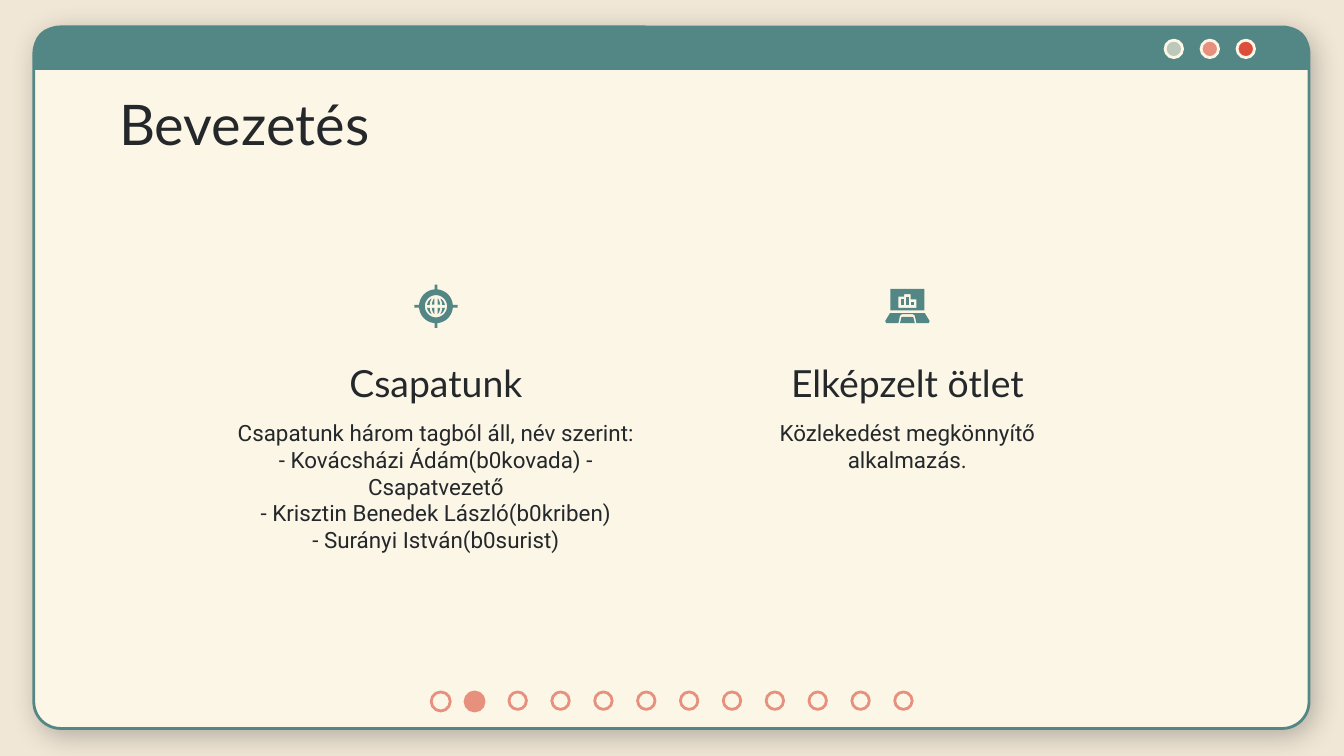
import math
from dataclasses import dataclass

import pptx
from lxml import etree
from pptx.dml.color import RGBColor
from pptx.enum.shapes import MSO_SHAPE
from pptx.enum.text import MSO_ANCHOR, MSO_AUTO_SIZE, PP_ALIGN
from pptx.oxml.ns import qn
from pptx.util import Cm, Pt


@dataclass(frozen=True)
class Theme:
    backdrop: str = "F1E7D6"
    paper: str = "FCF6E7"
    teal: str = "538786"
    sage: str = "BBC8BA"
    coral: str = "E6907D"
    red: str = "DD4F3D"
    ink: str = "24282A"
    heading_font: str = "Lato"
    body_font: str = "Roboto"
    title_size: float = 30
    heading_size: float = 20
    body_size: float = 12
    outline: float = 1.5


THEME = Theme()


def paint(shape, fill, line=None):
    shape.shadow.inherit = False
    shape.fill.solid()
    shape.fill.fore_color.rgb = RGBColor.from_string(fill)
    if line:
        shape.line.color.rgb = RGBColor.from_string(line)
        shape.line.width = Pt(THEME.outline)
    else:
        shape.line.fill.background()


def add_preset(slide, kind, left, top, width, height, fill, line=None):
    shape = slide.shapes.add_shape(kind, Cm(left), Cm(top), Cm(width), Cm(height))
    paint(shape, fill, line)
    return shape


def add_dot(slide, left, top, size, fill, line):
    add_preset(slide, MSO_SHAPE.OVAL, left, top, size, size, fill, line)


def add_soft_shadow(shape):
    effects = shape._element.spPr.find(qn("a:effectLst"))
    shadow = etree.SubElement(effects, qn("a:outerShdw"), blurRad=str(Pt(14.6)),
                              dist=str(Pt(3.8)), dir=str(50 * 60000),
                              algn="bl", rotWithShape="0")
    color = etree.SubElement(shadow, qn("a:srgbClr"), val=THEME.ink)
    etree.SubElement(color, qn("a:alpha"), val="30000")


def write_text(shape, lines, font, size, alignment, anchor=MSO_ANCHOR.TOP):
    frame = shape.text_frame
    frame.word_wrap = True
    frame.auto_size = MSO_AUTO_SIZE.NONE
    frame.vertical_anchor = anchor
    frame.margin_left = frame.margin_right = Cm(0.25)
    frame.margin_top = frame.margin_bottom = Cm(0.25)
    frame.text = "\n".join(lines)
    for paragraph in frame.paragraphs:
        paragraph.alignment = alignment
        paragraph.font.name = font
        paragraph.font.size = Pt(size)
        paragraph.font.color.rgb = RGBColor.from_string(THEME.ink)


def add_text(slide, left, top, width, height, lines, font, size, anchor=MSO_ANCHOR.TOP):
    box = slide.shapes.add_textbox(Cm(left), Cm(top), Cm(width), Cm(height))
    write_text(box, lines, font, size, PP_ALIGN.CENTER, anchor)


def add_icon(slide, center_x, center_y, parts):
    """Each part is a list of outlines, in cm from the centre; later outlines are holes."""
    icon = slide.shapes.add_group_shape()
    for outlines in parts:
        builder = None
        for outline in outlines:
            points = [(Cm(center_x + x), Cm(center_y + y)) for x, y in outline]
            if builder is None:
                builder = icon.shapes.build_freeform(*points[0], scale=1.0)
            else:
                builder.move_to(*points[0])
            builder.add_line_segments(points[1:], close=True)
        paint(builder.convert_to_shape(), THEME.teal)


def arc(radius_x, radius_y, start, end, steps=12):
    angles = [math.radians(start + (end - start) * i / steps) for i in range(steps + 1)]
    return [(radius_x * math.cos(a), radius_y * math.sin(a)) for a in angles]


def mirror(points):
    """Completes a right-hand outline with its left-hand reflection."""
    return points + [(-x, y) for x, y in reversed(points)]


def rectangle(left, top, right, bottom):
    return [(left, top), (right, top), (right, bottom), (left, bottom)]


def globe_parts():
    crosshair = []
    for turn in range(0, 360, 90):
        crosshair += arc(0.32, 0.32, turn + 4.5, turn + 85.5)
        crosshair += arc(0.41, 0.41, turn + 86.5, turn + 93.5, 4)
    parts = [[crosshair, arc(0.21, 0.21, 0, 360, 48)]]
    inner = [(0.03, 0.03)] + arc(0.08, 0.16, 10, 68) + [(0.03, 0.15)]
    outer = arc(0.17, 0.17, 9, 60) + arc(0.12, 0.2, 46, 8)
    for cell in (inner, outer):
        for sign_x in (1, -1):
            for sign_y in (1, -1):
                parts.append([[(sign_x * x, sign_y * y) for x, y in cell]])
    return parts


def laptop_parts():
    chart_window = [(-0.17, 0.03), (-0.17, -0.18), (-0.06, -0.18), (-0.06, -0.23),
                    (0.06, -0.23), (0.06, -0.13), (0.17, -0.13), (0.17, 0.03)]
    base = mirror([(0.33, 0.13), (0.42, 0.28), (0.4, 0.32),
                   (0.17, 0.32), (0.14, 0.18), (0.11, 0.15)])
    trackpad = mirror([(0.11, 0.2), (0.14, 0.32)])
    bars = [rectangle(-0.12, -0.13, -0.07, -0.03),
            rectangle(-0.03, -0.18, 0.03, -0.03),
            rectangle(0.07, -0.08, 0.12, -0.03)]
    screen = rectangle(-0.32, -0.33, 0.32, 0.08)
    return [[screen, chart_window], [base], [trackpad]] + [[bar] for bar in bars]


def add_window(slide):
    window = add_preset(slide, MSO_SHAPE.ROUNDED_RECTANGLE, 0.64, 0.51, 24.1, 13.26,
                        THEME.paper, THEME.teal)
    window.adjustments[0] = 0.038
    add_soft_shadow(window)
    bar = add_preset(slide, MSO_SHAPE.ROUND_2_SAME_RECTANGLE, 0.64, 0.51, 24.1, 0.81,
                     THEME.teal)
    bar.adjustments[0] = 0.5
    for index, color in enumerate((THEME.sage, THEME.coral, THEME.red)):
        add_dot(slide, 22.02 + 0.68 * index, 0.76, 0.33, color, THEME.paper)


def add_title(slide, text):
    title = slide.shapes.title
    title.left, title.top, title.width, title.height = Cm(2), Cm(1.45), Cm(21.4), Cm(1.6)
    write_text(title, [text], THEME.heading_font, THEME.title_size, PP_ALIGN.LEFT)
    slide.shapes._spTree.append(title._element)  # bring in front of the window


def add_column(slide, center, body_width, body_height, heading, lines, icon_parts):
    add_text(slide, center - 3.48, 6.63, 6.96, 1.27, [heading],
             THEME.heading_font, THEME.heading_size, MSO_ANCHOR.BOTTOM)
    add_text(slide, center - body_width / 2, 7.67, body_width, body_height, lines,
             THEME.body_font, THEME.body_size)
    add_icon(slide, center, 5.79, icon_parts)


def add_progress_dots(slide):
    add_dot(slide, 8.15, 13.08, 0.36, THEME.paper, THEME.coral)
    add_dot(slide, 8.79, 13.08, 0.36, THEME.coral, THEME.coral)
    for index in range(10):
        add_dot(slide, 9.62 + 0.81 * index, 13.08, 0.33, THEME.paper, THEME.coral)


def main():
    presentation = pptx.Presentation()
    presentation.slide_width, presentation.slide_height = Cm(25.4), Cm(14.29)
    slide = presentation.slides.add_slide(presentation.slide_layouts.get_by_name("Title Only"))
    slide.background.fill.solid()
    slide.background.fill.fore_color.rgb = RGBColor.from_string(THEME.backdrop)

    # Browser-like window and title
    add_window(slide)
    add_title(slide, "Bevezetés")

    # Two content columns
    add_column(slide, 8.24, 8.86, 3.12, "Csapatunk",
               ["Csapatunk három tagból áll, név szerint:",
                "- Kovácsházi Ádám(b0kovada) - Csapatvezető",
                "- Krisztin Benedek László(b0kriben)",
                "- Surányi István(b0surist)"], globe_parts())
    add_column(slide, 17.15, 6.96, 4.04, "Elképzelt ötlet",
               ["Közlekedést megkönnyítő alkalmazás."], laptop_parts())

    # Page progress
    add_progress_dots(slide)
    presentation.save("out.pptx")


if __name__ == "__main__":
    main()
